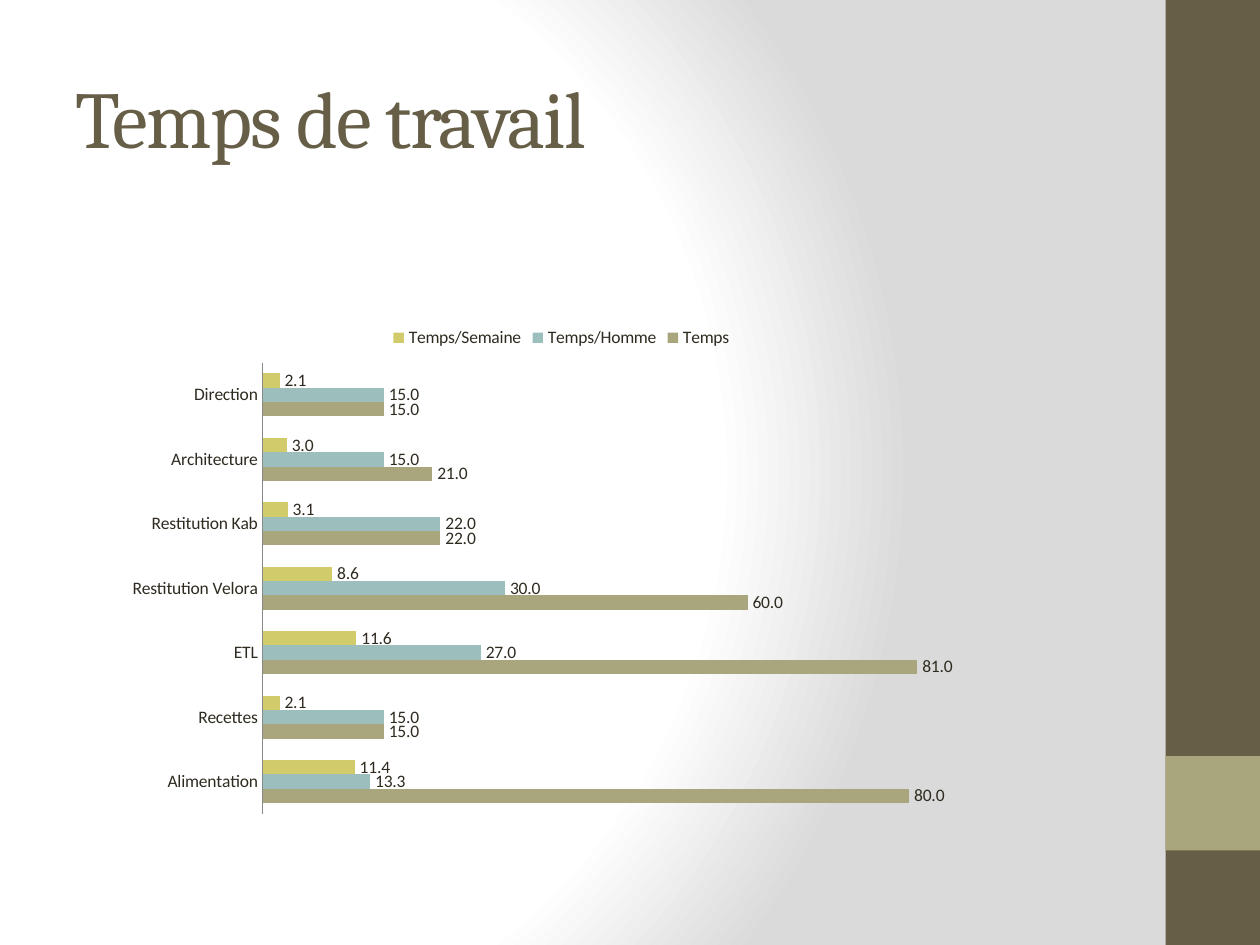
"""Build the working-time slide with its clustered bar chart."""
from dataclasses import dataclass

from lxml import etree
from pptx import Presentation
from pptx.chart.data import CategoryChartData
from pptx.dml.color import RGBColor
from pptx.enum.chart import (XL_CHART_TYPE, XL_LABEL_POSITION,
                             XL_LEGEND_POSITION, XL_TICK_MARK)
from pptx.enum.shapes import MSO_SHAPE
from pptx.enum.text import MSO_ANCHOR
from pptx.oxml.ns import qn
from pptx.util import Inches, Pt

RECTANGLE = MSO_SHAPE.RECTANGLE
MIDDLE = MSO_ANCHOR.MIDDLE
BAR_CLUSTERED = XL_CHART_TYPE.BAR_CLUSTERED
LEGEND_TOP = XL_LEGEND_POSITION.TOP
OUTSIDE_END = XL_LABEL_POSITION.OUTSIDE_END
NO_TICK = XL_TICK_MARK.NONE


@dataclass(frozen=True)
class Theme:
    """Colours, fonts and type sizes of the slide."""
    brown: str = "675E47"
    olive: str = "A9A57C"
    teal: str = "9CBEBD"
    yellow: str = "D2CB6C"
    ink: str = "2F2B20"
    axis: str = "898989"
    white: str = "FFFFFF"
    grey: str = "DADADA"
    title_font: str = "Cambria"
    body_font: str = "Calibri"
    title_size: int = 46
    chart_size: int = 10


THEME = Theme()
CATEGORIES = ["Alimentation", "Recettes", "ETL", "Restitution Velora",
              "Restitution Kab", "Architecture", "Direction"]
SERIES = [
    ("Temps", THEME.olive, [80, 15, 81, 60, 22, 21, 15]),
    ("Temps/Homme", THEME.teal, [13.3, 15, 27, 30, 22, 15, 15]),
    ("Temps/Semaine", THEME.yellow, [11.4, 2.1, 11.6, 8.6, 3.1, 3, 2.1]),
]


def set_values(target, values):
    """Set each named attribute of the target."""
    for name, value in values.items():
        setattr(target, name, value)


def set_font(font, name, size, color):
    """Give a font its face, size and colour."""
    set_values(font, {"name": name, "size": Pt(size)})
    font.color.rgb = RGBColor.from_string(color)


def paint(fill, color):
    """Make a fill solid in the given colour."""
    fill.solid()
    fill.fore_color.rgb = RGBColor.from_string(color)


def set_background(page):
    """Give the page a circular gradient centred towards the left."""
    page.background.fill.gradient()
    gradient = page.element.find(".//" + qn("a:gradFill"))
    for child in list(gradient):
        gradient.remove(child)
    stops = etree.SubElement(gradient, qn("a:gsLst"))
    for percent, color in ((0, THEME.white), (75, THEME.white), (100, THEME.grey)):
        stop = etree.SubElement(stops, qn("a:gs"), pos=str(percent * 1000))
        etree.SubElement(stop, qn("a:srgbClr"), val=color)
    circle = etree.SubElement(gradient, qn("a:path"), path="circle")
    etree.SubElement(circle, qn("a:fillToRect"),
                     l="20000", t="50000", r="100000", b="50000")


def add_band(page, top, height, color):
    """Add a plain block in the right-hand side strip."""
    band = page.shapes.add_shape(RECTANGLE, Inches(9.25), Inches(top),
                                 Inches(0.75), Inches(height))
    band.shadow.inherit = False
    paint(band.fill, color)
    band.line.fill.background()


def add_title(page, text):
    """Add the slide title."""
    box = page.shapes.add_textbox(Inches(0.5), Inches(0.3),
                                  Inches(8.33), Inches(1.25))
    set_values(box.text_frame, {"word_wrap": True, "vertical_anchor": MIDDLE})
    span = box.text_frame.paragraphs[0].add_run()
    span.text = text
    set_font(span.font, THEME.title_font, THEME.title_size, THEME.brown)
    span.font._element.set("spc", "-100")


def style_axes(chart):
    """Keep a plain category axis and hide the value axis."""
    category_axis, value_axis = chart.category_axis, chart.value_axis
    set_values(category_axis, {"major_tick_mark": NO_TICK, "minor_tick_mark": NO_TICK,
                               "has_major_gridlines": False})
    category_axis.format.line.width = Pt(0.75)
    paint(category_axis.format.line.fill, THEME.axis)
    set_values(value_axis, {"visible": False, "has_major_gridlines": False,
                            "minimum_scale": 0, "maximum_scale": 90})
    set_values(value_axis.tick_labels,
               {"number_format": "0.0", "number_format_is_linked": False})


def style_series(series, color):
    """Colour one series and show its values."""
    paint(series.format.fill, color)
    series.invert_if_negative = False
    labels = series.data_labels
    set_values(labels, {"show_value": True, "number_format": "0.0",
                        "number_format_is_linked": False, "position": OUTSIDE_END})
    set_font(labels.font, THEME.body_font, THEME.chart_size, THEME.ink)


def add_time_chart(page):
    """Add the clustered bar chart of working time."""
    data = CategoryChartData(number_format="0.0")
    data.categories = CATEGORIES
    for name, _, values in SERIES:
        data.add_series(name, values)
    chart = page.shapes.add_chart(BAR_CLUSTERED, Inches(0.91), Inches(2.49),
                                  Inches(7.09), Inches(4.05), data).chart
    set_font(chart.font, THEME.body_font, THEME.chart_size, THEME.ink)
    set_values(chart, {"has_title": False, "has_legend": True})
    set_values(chart.legend, {"position": LEGEND_TOP, "include_in_layout": False})
    set_values(chart.plots[0], {"gap_width": 150, "overlap": 0,
                                "vary_by_categories": False})
    style_axes(chart)
    for series, (_, color, _) in zip(chart.plots[0].series, SERIES):
        style_series(series, color)


def main():
    """Build and save the deck."""
    deck = Presentation()
    set_values(deck, {"slide_width": Inches(10), "slide_height": Inches(7.5)})
    page = deck.slides.add_slide(deck.slide_layouts[6])
    set_background(page)
    add_band(page, 0, 7.5, THEME.brown)
    add_band(page, 6, 0.75, THEME.olive)
    add_title(page, "Temps de travail")
    add_time_chart(page)
    deck.save("out.pptx")


if __name__ == "__main__":
    main()
